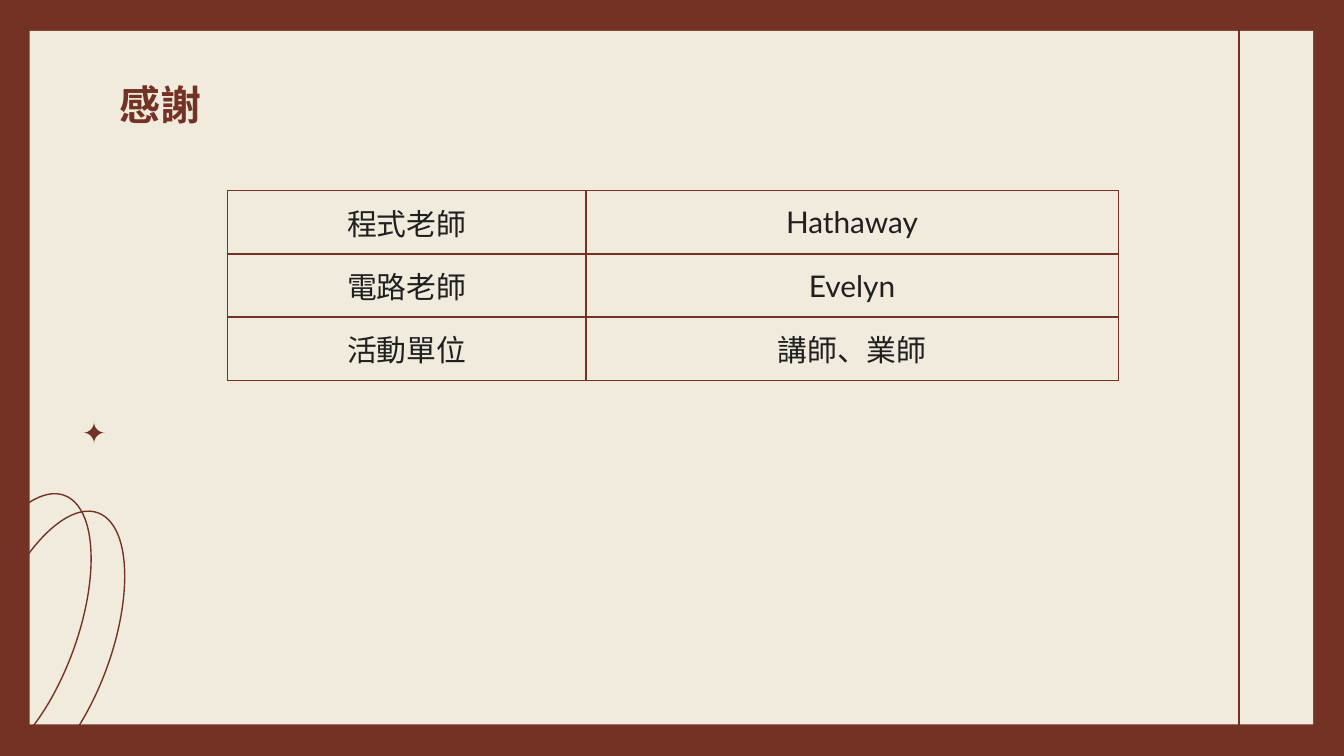
from math import cos, pi, sin

from lxml import etree
from pptx import Presentation
from pptx.dml.color import RGBColor
from pptx.enum.shapes import MSO_CONNECTOR, MSO_SHAPE
from pptx.enum.text import MSO_ANCHOR, MSO_AUTO_SIZE, PP_ALIGN
from pptx.oxml import parse_xml
from pptx.oxml.ns import nsdecls, qn
from pptx.util import Inches, Pt

RECTANGLE, OVAL = MSO_SHAPE.RECTANGLE, MSO_SHAPE.OVAL
STRAIGHT = MSO_CONNECTOR.STRAIGHT
TOP, MIDDLE = MSO_ANCHOR.TOP, MSO_ANCHOR.MIDDLE
LEFT, CENTER = PP_ALIGN.LEFT, PP_ALIGN.CENTER
NO_AUTOFIT = MSO_AUTO_SIZE.NONE

BROWN = RGBColor(0x74, 0x32, 0x25)
CREAM = RGBColor(0xF0, 0xEB, 0xDD)
INK = RGBColor(0x1F, 0x1F, 0x1F)
LINE_WIDTH = Pt(0.75)

PAGE_WIDTH = Inches(10)
PAGE_HEIGHT = PAGE_WIDTH * 9 // 16

CREDITS = [
    ("程式老師", "Hathaway"),
    ("電路老師", "Evelyn"),
    ("活動單位", "講師、業師"),
]


def paint(thing, color):
    thing.fill.solid()
    thing.fill.fore_color.rgb = color


def set_line(shape):
    shape.line.color.rgb = BROWN
    shape.line.width = LINE_WIDTH


def set_font(para, name, size, color, bold=False):
    font = para.font
    font.name, font.size, font.bold = name, Pt(size), bold
    font.color.rgb = color


def add_panel(page):
    panel = page.shapes.add_shape(
        RECTANGLE, Inches(0.22), Inches(0.23), Inches(9.55), Inches(5.16))
    panel.shadow.inherit = False
    paint(panel, CREAM)
    panel.line.fill.background()


def add_ring(page, left, top):
    ring = page.shapes.add_shape(
        OVAL, Inches(left), Inches(top), Inches(0.92), Inches(2.14))
    ring.shadow.inherit = False
    ring.rotation = 200.2
    ring.fill.background()
    set_line(ring)


def add_sparkle(page, center_x, center_y, radius, steps=8):
    """Draw a four-pointed star whose sides are inward quarter circles."""
    points = []
    for quadrant in range(4):
        turn = quadrant * pi / 2
        for step in range(steps):
            angle = step / steps * pi / 2
            x, y = radius * (1 - sin(angle)), radius * (1 - cos(angle))
            points.append((Inches(center_x + x * cos(turn) - y * sin(turn)),
                           Inches(center_y + x * sin(turn) + y * cos(turn))))
    builder = page.shapes.build_freeform(*points[0])
    builder.add_line_segments(points[1:], close=True)
    sparkle = builder.convert_to_shape()
    sparkle.shadow.inherit = False
    paint(sparkle, BROWN)
    sparkle.line.fill.background()


def add_rule(page, x, top, bottom):
    rule = page.shapes.add_connector(
        STRAIGHT, Inches(x), Inches(top), Inches(x), Inches(bottom))
    set_line(rule)
    etree.SubElement(rule._element.spPr, qn("a:effectLst"))


def set_title(page, text):
    title = page.shapes.title
    title.left, title.top = Inches(0.79), Inches(0.49)
    title.width, title.height = Inches(8.43), Inches(0.63)
    frame = title.text_frame
    frame.text = text
    frame.auto_size = NO_AUTOFIT
    frame.vertical_anchor = TOP
    frame.margin_left = frame.margin_right = Inches(0.1)
    frame.margin_top = frame.margin_bottom = Inches(0.1)
    para = frame.paragraphs[0]
    para.alignment = LEFT
    set_font(para, "Times New Roman", 21.9, BROWN, bold=True)
    # Bring the title in front of the panel.
    title._element.getparent().append(title._element)


def set_borders(cell):
    properties = cell._tc.get_or_add_tcPr()
    for position, side in enumerate(("lnL", "lnR", "lnT", "lnB")):
        properties.insert(position, parse_xml(
            f'<a:{side} {nsdecls("a")} w="{LINE_WIDTH}"><a:solidFill>'
            f'<a:srgbClr val="{BROWN}"/></a:solidFill></a:{side}>'))


def fill_cell(cell, text):
    cell.text = text
    cell.vertical_anchor = MIDDLE
    cell.margin_left = cell.margin_right = Inches(0.07)
    cell.margin_top = cell.margin_bottom = Inches(0.07)
    para = cell.text_frame.paragraphs[0]
    para.alignment = CENTER
    set_font(para, "Lato", 16, INK)
    paint(cell, CREAM)
    set_borders(cell)


def add_credits_table(page, rows):
    widths, row_height = (2.67, 3.96), 0.47
    table = page.shapes.add_table(
        len(rows), len(widths), Inches(1.69), Inches(1.42),
        Inches(sum(widths)), Inches(row_height * len(rows))).table
    table.first_row = table.horz_banding = False
    for column, width in zip(table.columns, widths):
        column.width = Inches(width)
    for row, texts in zip(table.rows, rows):
        row.height = Inches(row_height)
        for cell, text in zip(row.cells, texts):
            fill_cell(cell, text)


def main():
    deck = Presentation()
    deck.slide_width, deck.slide_height = PAGE_WIDTH, PAGE_HEIGHT
    page = deck.slides.add_slide(deck.slide_layouts.get_by_name("Title Only"))
    paint(page.background, BROWN)
    add_panel(page)
    add_ring(page, -0.1, 3.75)
    add_ring(page, -0.35, 3.62)
    add_sparkle(page, 0.7, 3.22, 0.08)
    add_rule(page, 9.22, 0.21, 5.42)
    set_title(page, "感謝")
    add_credits_table(page, CREDITS)
    deck.save("out.pptx")


if __name__ == "__main__":
    main()
